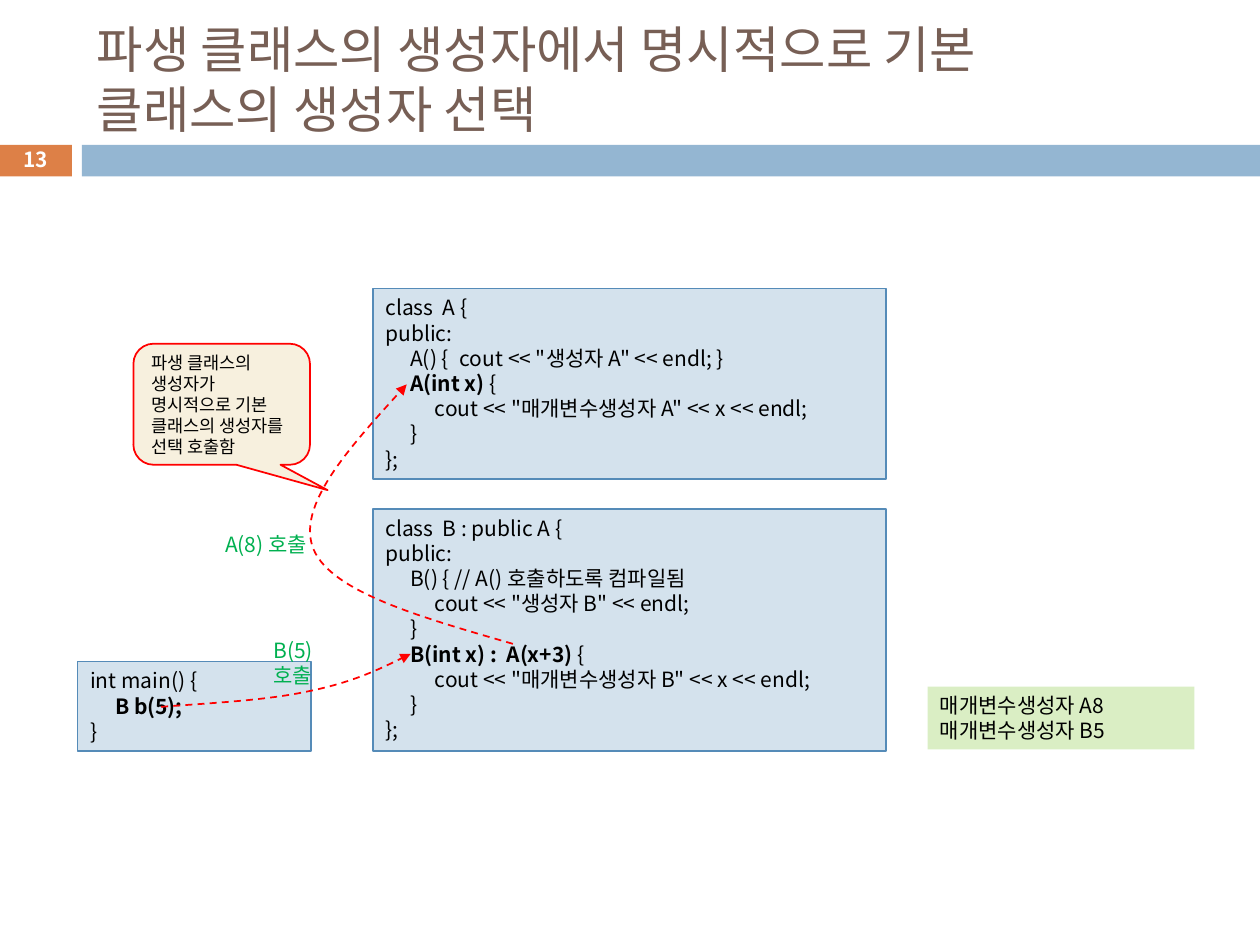
from typing import NamedTuple

from lxml import etree
from pptx import Presentation
from pptx import util as u
from pptx.dml.color import RGBColor
from pptx.enum import dml, shapes, text
from pptx.oxml.ns import qn

FONT = "Noto Sans CJK KR"
BLACK = RGBColor(0x00, 0x00, 0x00)
WHITE = RGBColor(0xFF, 0xFF, 0xFF)
BROWN = RGBColor(0x77, 0x5F, 0x55)
ORANGE = RGBColor(0xDD, 0x80, 0x47)
BLUE = RGBColor(0x94, 0xB6, 0xD2)
PALE = RGBColor(0xD4, 0xE2, 0xED)
EDGE = RGBColor(0x55, 0x8B, 0xB8)
LIME = RGBColor(0xDA, 0xEE, 0xC4)
CREAM = RGBColor(0xF7, 0xF0, 0xDE)
RED = RGBColor(0xFF, 0x00, 0x00)
GREEN = RGBColor(0x00, 0xB0, 0x50)

RECT = shapes.MSO_SHAPE.RECTANGLE
CALL = shapes.MSO_SHAPE.ROUNDED_RECTANGULAR_CALLOUT
LEFT, MID = text.PP_ALIGN.LEFT, text.PP_ALIGN.CENTER
TAB = 0.5  # cm between tab stops
STOPS = 3


class Area(NamedTuple):
    """Left, top, width and height in cm."""
    x: float
    y: float
    w: float
    h: float

    def emu(self) -> list:
        return [u.Cm(v) for v in self]


class Box(NamedTuple):
    area: Area
    fill: RGBColor
    edge: RGBColor | None = None
    width: float = 0.75
    lines: tuple = ()
    kind: int = RECT
    size: float = 12
    anchor: int = text.MSO_ANCHOR.TOP


class Label(NamedTuple):
    area: Area
    words: str
    wrap: bool
    color: RGBColor = GREEN
    size: float = 12
    align: int = LEFT
    bold: bool = False


CLASS_A = (
    "class  A {",
    "public:",
    "\tA() { \tcout << \"생성자 A\" << endl; }",
    "\t**A(int x) **{",
    "\t\tcout << \"매개변수생성자 A\" << x << endl;",
    "\t}",
    "};",
)
CLASS_B = (
    "class  B : public A {",
    "public:",
    "\tB() { // A() 호출하도록 컴파일됨",
    "\t\tcout << \"생성자 B\" << endl;",
    "\t}",
    "\t**B(int x) :  A(x+3) **{",
    "\t\tcout << \"매개변수생성자 B\" << x << endl;",
    "\t}",
    "};",
)
MAIN = ("int main() {", "\t**B b(5);**", "}")
OUTPUT = ("매개변수생성자 A8", "매개변수생성자 B5")
NOTE = ("파생 클래스의 생성자가 명시적으로 기본 클래스의 생성자를 선택 호출함",)

BOXES = (
    Box(Area(0, 2.92, 1.45, 0.64), ORANGE),
    Box(Area(1.65, 2.92, 23.75, 0.64), BLUE),
    Box(Area(7.52, 5.82, 10.34, 3.84), PALE, EDGE, lines=CLASS_A),
    Box(Area(7.52, 10.26, 10.34, 4.88), PALE, EDGE, lines=CLASS_B),
    Box(Area(1.57, 13.34, 4.7, 1.8), PALE, EDGE, lines=MAIN),
    Box(Area(18.7, 13.84, 5.38, 1.27), LIME, lines=OUTPUT),
    Box(Area(2.69, 6.93, 3.56, 2.44), CREAM, RED, 1, NOTE, CALL, 10,
        text.MSO_ANCHOR.MIDDLE),
)
LABELS = (
    Label(Area(0, 2.87, 1.45, 0.69), "13", True, WHITE, 11.9, MID, True),
    Label(Area(5.26, 12.73, 1.4, 0.76), "B(5) 호출", True),
    Label(Area(4.29, 10.59, 2.29, 0.76), "A(8) 호출", False),
)
# Each curve: a start, then two handles and an end for every bend
CURVES = (
    ((10.34, 12.98), (8.51, 12.45), (6.68, 11.94), (6.32, 11.07),
     (5.97, 10.21), (7.09, 8.97), (8.2, 7.75)),
    ((3.25, 14.25), (4.29, 14.17), (5.36, 14.12), (6.2, 13.94),
     (7.04, 13.77), (7.67, 13.49), (8.28, 13.18)),
)


def style(para, size: float, color: RGBColor, align: int = LEFT,
          bold: bool = False) -> None:
    para.alignment = align
    para.line_spacing = u.Pt(round(size * 1.2, 1))
    props = para._p.get_or_add_pPr()
    tabs = etree.SubElement(props, qn("a:tabLst"))
    for n in range(1, STOPS + 1):
        etree.SubElement(tabs, qn("a:tab"), pos=str(u.Cm(TAB * n)), algn="l")
    font = para.font
    font.name, font.size, font.bold = FONT, u.Pt(size), bold
    font.color.rgb = color
    etree.SubElement(props.find(qn("a:defRPr")), qn("a:ea"), typeface=FONT)


def write(para, line: str) -> None:
    """Add runs; text between double stars is bold."""
    for n, part in enumerate(line.split("**")):
        if part:
            run = para.add_run()
            run.text = part
            if n % 2:
                run.font.bold = True


def add_box(slide, box: Box) -> None:
    shape = slide.shapes.add_shape(box.kind, *box.area.emu())
    shape.shadow.inherit = False
    shape.fill.solid()
    shape.fill.fore_color.rgb = box.fill
    if box.edge is None:
        shape.line.fill.background()
    else:
        shape.line.color.rgb = box.edge
        shape.line.width = u.Pt(box.width)
    if box.kind == CALL:
        shape.adjustments[0] = 0.6
        shape.adjustments[1] = 0.71
    frame = shape.text_frame
    frame.vertical_anchor = box.anchor
    for n, line in enumerate(box.lines):
        para = frame.add_paragraph() if n else frame.paragraphs[0]
        style(para, box.size, BLACK)
        write(para, line)


def add_label(slide, label: Label) -> None:
    frame = slide.shapes.add_textbox(*label.area.emu()).text_frame
    frame.word_wrap = label.wrap
    if label.align == MID:
        frame.vertical_anchor = text.MSO_ANCHOR.MIDDLE
    para = frame.paragraphs[0]
    style(para, label.size, label.color, label.align, label.bold)
    write(para, label.words)


def add_curve(slide, points: tuple) -> None:
    """Draw a dashed arrow, joining each three segments into one bend."""
    start, *rest = [(u.Cm(x), u.Cm(y)) for x, y in points]
    build = slide.shapes.build_freeform(*start)
    build.add_line_segments(rest, close=False)
    shape = build.convert_to_shape()
    shape.shadow.inherit = False
    shape.fill.background()
    line = shape.line
    line.color.rgb = RED
    line.width = u.Pt(1)
    line.dash_style = dml.MSO_LINE.DASH
    etree.SubElement(line._get_or_add_ln(), qn("a:tailEnd"), type="triangle")
    legs = list(shape._element.iter(qn("a:lnTo")))
    for n in range(0, len(legs), 3):
        bend = etree.Element(qn("a:cubicBezTo"))
        legs[n].addprevious(bend)
        for leg in legs[n:n + 3]:
            bend.append(leg[0])
            leg.getparent().remove(leg)


def add_title(slide) -> None:
    title = slide.shapes.title
    title.left, title.top, title.width, title.height = Area(
        1.7, 0.64, 22.66, 1.88).emu()
    frame = title.text_frame
    frame.text = "파생 클래스의 생성자에서 명시적으로 기본\v클래스의 생성자 선택"
    frame.auto_size = text.MSO_AUTO_SIZE.NONE
    frame.vertical_anchor = text.MSO_ANCHOR.MIDDLE
    style(frame.paragraphs[0], 28.8, BROWN)


def main() -> None:
    deck = Presentation()
    deck.slide_width, deck.slide_height = u.Cm(25.4), u.Cm(19.05)
    slide = deck.slides.add_slide(deck.slide_layouts[5])
    add_title(slide)
    for box in BOXES:
        add_box(slide, box)
    for label in LABELS:
        add_label(slide, label)
    for points in CURVES:
        add_curve(slide, points)
    deck.save("out.pptx")


if __name__ == "__main__":
    main()
